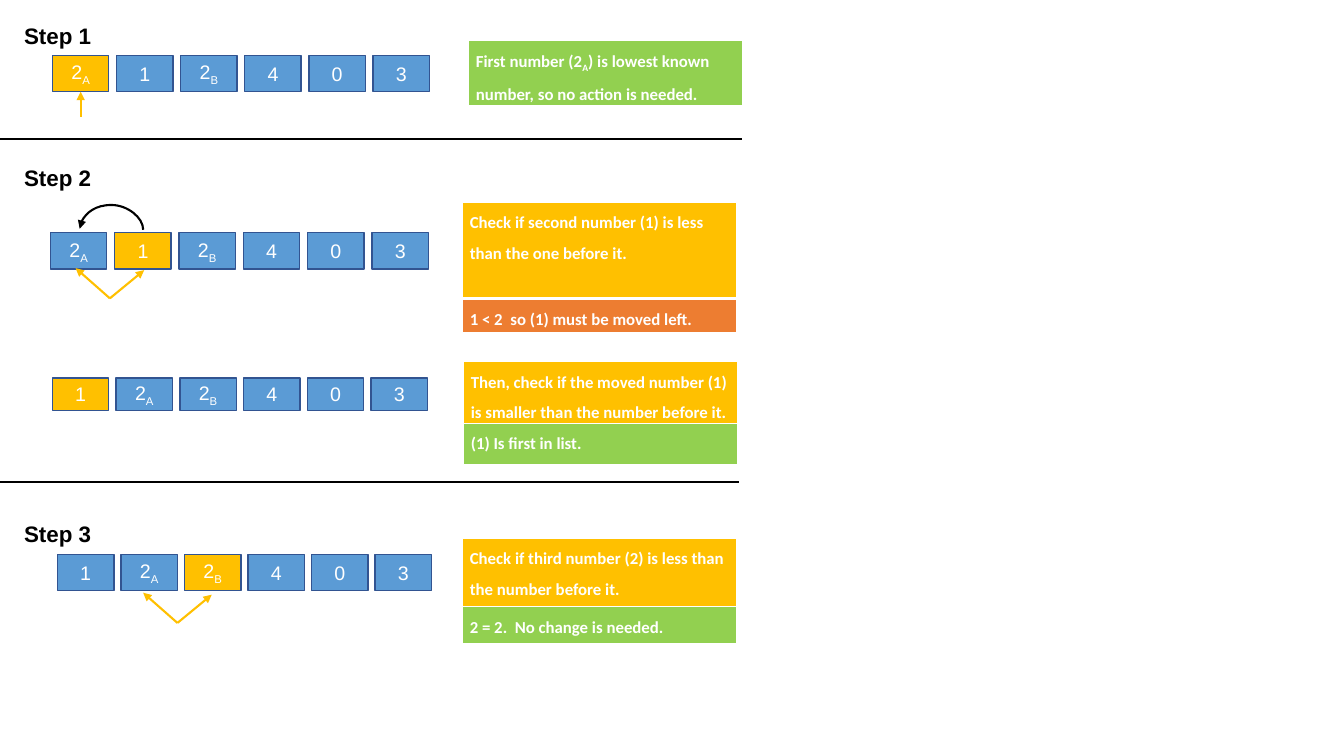
from dataclasses import dataclass
from lxml import etree
from pptx import Presentation
from pptx.dml.color import RGBColor
from pptx.enum.shapes import MSO_CONNECTOR, MSO_SHAPE
from pptx.enum.text import MSO_ANCHOR, PP_ALIGN
from pptx.oxml.ns import qn
from pptx.util import Inches, Pt

RECT = MSO_SHAPE.RECTANGLE
STRAIGHT, CURVE = MSO_CONNECTOR.STRAIGHT, MSO_CONNECTOR.CURVE
MIDDLE, CENTER = MSO_ANCHOR.MIDDLE, PP_ALIGN.CENTER


@dataclass(frozen=True)
class Theme:
    blue: str = "5B9BD5"
    edge: str = "325491"
    gold: str = "FFC000"
    green: str = "92D050"
    orange: str = "ED7D31"
    black: str = "000000"
    white: str = "FFFFFF"
    head_font: str = "Arial"
    note_font: str = "Calibri"
    head_size: int = 16
    box_size: int = 14
    note_size: int = 12
    line_width: float = 1.5


T = Theme()
BOX_W, NOTE_W = 0.56, 2.72

ONE, TWO_A, TWO_B = [("1", 0)], [("2", 0), ("A", 1)], [("2", 0), ("B", 1)]
REST = [[("4", 0)], [("0", 0)], [("3", 0)]]
START = [TWO_A, ONE, TWO_B] + REST
MOVED = [ONE, TWO_A, TWO_B] + REST

HEADINGS = [("Step 1", 0.17), ("Step 2", 1.58), ("Step 3", 5.11)]

# first left, last left, top, height, numbers, active index
ARRAYS = [
    (0.52, 3.70, 0.55, 0.36, START, 0),
    (0.50, 3.69, 2.31, 0.36, START, 1),
    (0.52, 3.68, 3.75, 0.32, MOVED, 0),
    (0.57, 3.72, 5.50, 0.36, MOVED, 2),
]

NOTES = [
    (4.65, 0.40, 0.66, T.green, [("First number (2", 0), ("A", 1),
     (") is lowest known number, so no action is needed.", 0)]),
    (4.59, 2.01, 0.96, T.gold,
     [("Check if second number (1) is less than the one before it.", 0)]),
    (4.59, 2.97, 0.34, T.orange, [("1 < 2  so (1) must be moved left.", 0)]),
    (4.60, 3.59, 0.63, T.gold,
     [("Then, check if the moved number (1) is smaller than the number before it.", 0)]),
    (4.60, 4.20, 0.42, T.green, [("(1) Is first in list.", 0)]),
    (4.59, 5.34, 0.69, T.gold,
     [("Check if third number (2) is less than the number before it.", 0)]),
    (4.59, 6.02, 0.38, T.green, [("2 = 2.  No change is needed.", 0)]),
]

DIVIDERS = [(0, 1.38, 7.36, 1.38), (-0.03, 4.78, 7.33, 4.78)]
POINTERS = [(0.80, 1.16, 0.80, 0.91)]
for x, y in [(1.09, 2.96), (1.76, 6.18)]:
    POINTERS += [(x, y, x + 0.34, y - 0.28), (x, y, x - 0.34, y - 0.30)]
MOVE_ARC = (1.10, 2.59, 1.11, 1.96)


def rgb(value):
    return RGBColor.from_string(value)


def add_runs(p, runs, font, size, color, bold=False):
    for text, subscript in runs:
        r = p.add_run()
        r.text = text
        r.font.name, r.font.size, r.font.bold = font, Pt(size), bold
        r.font.color.rgb = rgb(color)
        if subscript:
            r.font._element.set("baseline", "-25000")


def add_heading(s, text, top):
    sp = s.shapes.add_textbox(Inches(0.14), Inches(top), Inches(0.88), Inches(0.37))
    tf = sp.text_frame
    tf.word_wrap = False
    add_runs(tf.paragraphs[0], [(text, 0)], T.head_font, T.head_size, T.black, True)


def add_array(s, first, last, top, height, numbers, active):
    pitch = (last - first) / (len(numbers) - 1)
    for i, runs in enumerate(numbers):
        sp = s.shapes.add_shape(RECT, Inches(first + i * pitch), Inches(top),
                                Inches(BOX_W), Inches(height))
        sp.shadow.inherit = False
        sp.fill.solid()
        sp.fill.fore_color.rgb = rgb(T.gold if i == active else T.blue)
        sp.line.color.rgb = rgb(T.edge)
        sp.line.width = Pt(1)
        tf = sp.text_frame
        tf.vertical_anchor = MIDDLE
        p = tf.paragraphs[0]
        p.alignment = CENTER
        add_runs(p, runs, T.head_font, T.box_size, T.white)


def add_borders(cell):
    tcPr = cell._tc.get_or_add_tcPr()
    for i, (side, width) in enumerate([("L", 1), ("R", 1), ("T", 1), ("B", 3)]):
        ln = etree.Element(qn("a:ln" + side), w=str(Pt(width)))
        fill = etree.SubElement(ln, qn("a:solidFill"))
        etree.SubElement(fill, qn("a:srgbClr"), val=T.white)
        tcPr.insert(i, ln)


def add_note(s, left, top, height, color, runs):
    table = s.shapes.add_table(1, 1, Inches(left), Inches(top),
                               Inches(NOTE_W), Inches(height)).table
    table.first_row = table.horz_banding = False
    cell = table.cell(0, 0)
    cell.margin_left = cell.margin_right = Inches(0.07)
    cell.margin_top = cell.margin_bottom = 0
    cell.fill.solid()
    cell.fill.fore_color.rgb = rgb(color)
    add_borders(cell)
    p = cell.text_frame.paragraphs[0]
    p.line_spacing = 1.5
    add_runs(p, runs, T.note_font, T.note_size, T.white, True)


def add_line(s, points, color, arrow=True, kind=STRAIGHT):
    line = s.shapes.add_connector(kind, *[Inches(v) for v in points])
    line.line.color.rgb = rgb(color)
    line.line.width = Pt(T.line_width)
    spPr = line._element.spPr
    if arrow:
        etree.SubElement(spPr.find(qn("a:ln")), qn("a:tailEnd"), type="triangle")
    etree.SubElement(spPr, qn("a:effectLst"))
    return line


def add_move_arc(s):
    arc = add_line(s, MOVE_ARC, T.black, kind=CURVE)
    spPr = arc._element.spPr
    spPr.find(qn("a:xfrm")).set("rot", str(270 * 60000))
    guides = spPr.find(qn("a:prstGeom")).find(qn("a:avLst"))
    etree.SubElement(guides, qn("a:gd"), name="adj1", fmla="val 2500000")


prs = Presentation()
prs.slide_width, prs.slide_height = Inches(13.33), Inches(7.5)
s = prs.slides.add_slide(prs.slide_layouts[6])
for heading in HEADINGS:
    add_heading(s, *heading)
for array in ARRAYS:
    add_array(s, *array)
for note in NOTES:
    add_note(s, *note)
for divider in DIVIDERS:
    add_line(s, divider, T.black, arrow=False)
for pointer in POINTERS:
    add_line(s, pointer, T.gold)
add_move_arc(s)
prs.save("out.pptx")
